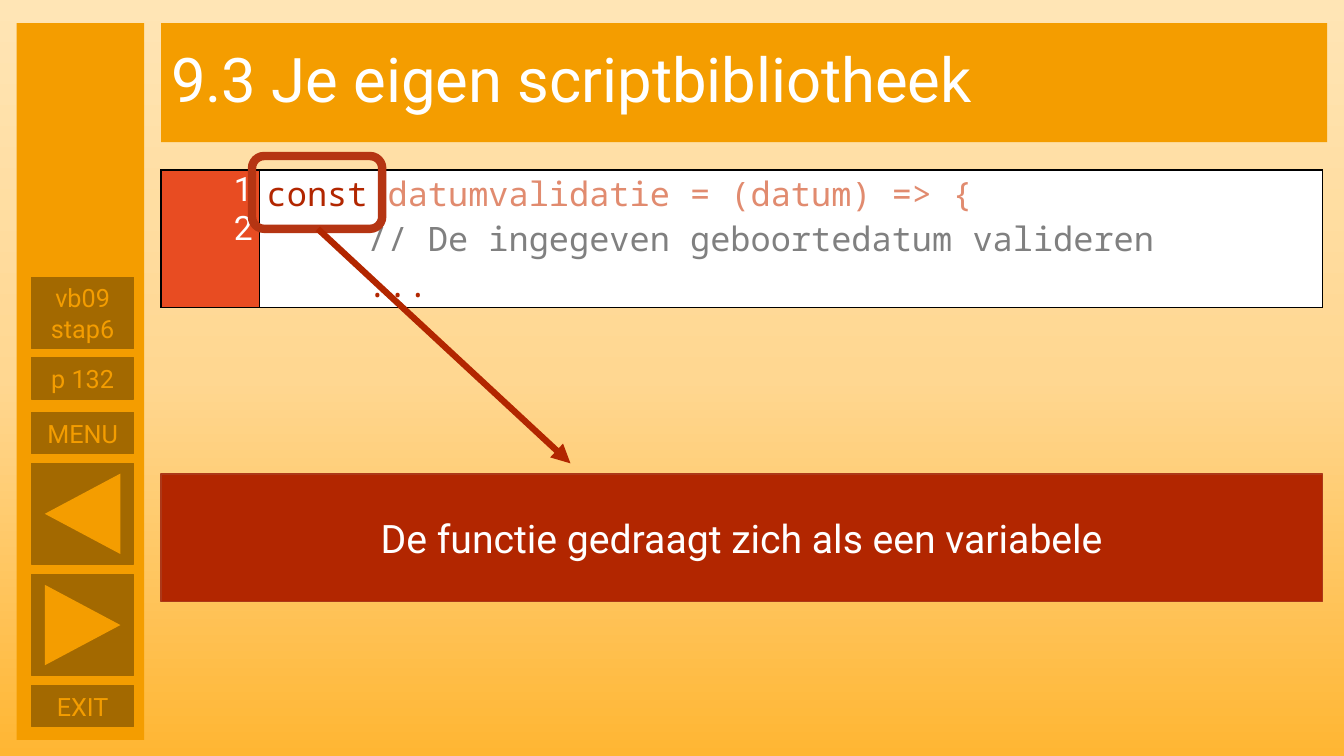
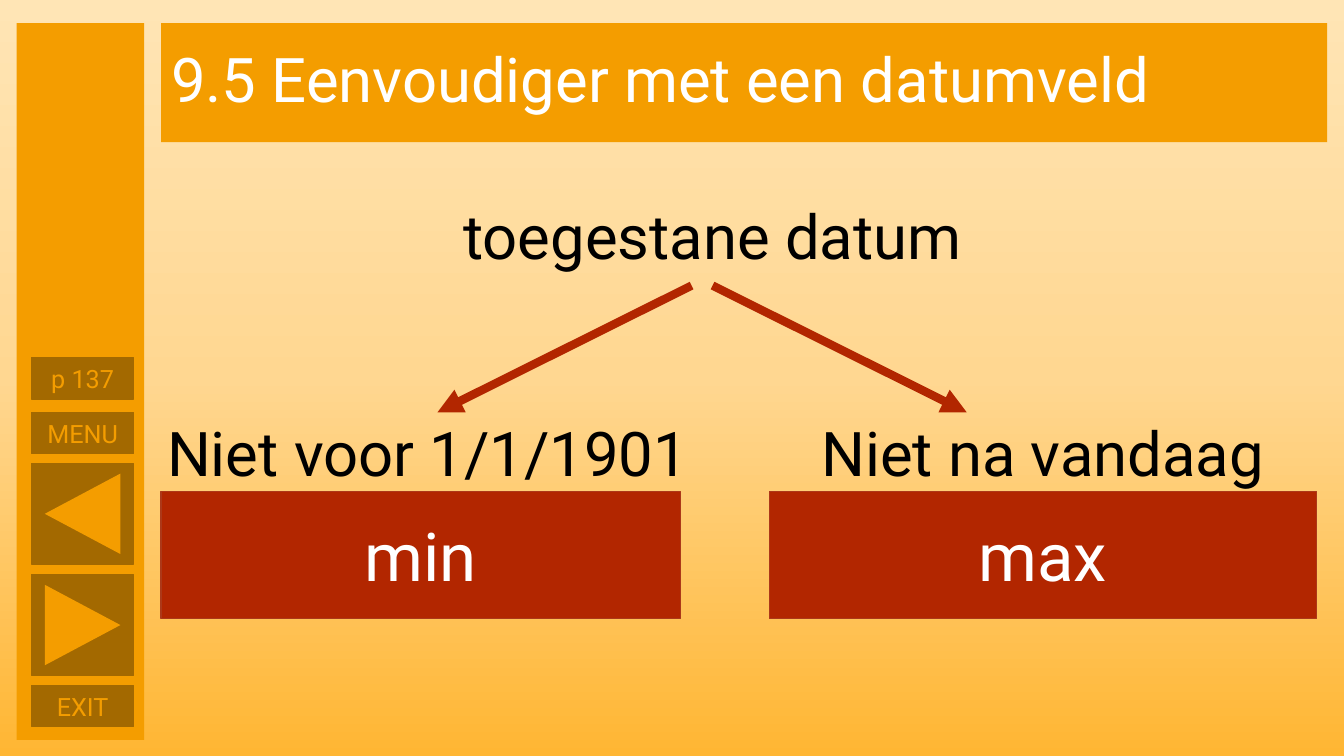
from copy import deepcopy
from lxml.etree import SubElement
from pptx import Presentation
from pptx.dml.color import RGBColor
from pptx.enum.shapes import MSO_CONNECTOR, MSO_SHAPE
from pptx.enum.text import MSO_ANCHOR, MSO_AUTO_SIZE, PP_ALIGN
from pptx.oxml.ns import qn
from pptx.util import Pt

COLORS = {
    "orange": "F49D00",
    "brown": "A36900",
    "red": "B22600",
    "red_edge": "AC3819",
    "frame": "B53513",
    "number": "E84C22",
    "faded": "E18B6F",
    "comment": "808080",
    "white": "FFFFFF",
    "black": "000000",
}
BACKGROUND = [(0, "FFE5B5"), (50, "FFD791"), (100, "FFB633")]
FONT = "Roboto"
CODE_FONT = "Noto Sans Mono"
TITLE_BOX = (115, 16.5, 833, 85)
SIDEBAR_BOX = (12, 16.5, 91, 512)
BODY_LEFT = 115


def rgb(name):
    return RGBColor.from_string(COLORS[name])


def points(values):
    return [Pt(value) for value in values]


def add_run(paragraph, text, size, color, font=FONT):
    run = paragraph.add_run()
    run.text = text
    run.font.name = font
    run.font.size = Pt(size)
    run.font.color.rgb = rgb(color)


def write_lines(frame, lines, size, color, align=PP_ALIGN.CENTER):
    for index, line in enumerate(lines):
        paragraph = frame.add_paragraph() if index else frame.paragraphs[0]
        paragraph.alignment = align
        add_run(paragraph, line, size, color)


def add_shape(slide, kind, box, fill=None, line=None, line_width=1):
    shape = slide.shapes.add_shape(kind, *points(box))
    shape.shadow.inherit = False
    if fill:
        shape.fill.solid()
        shape.fill.fore_color.rgb = rgb(fill)
    else:
        shape.fill.background()
    if line:
        shape.line.color.rgb = rgb(line)
        shape.line.width = Pt(line_width)
    else:
        shape.line.fill.background()
    return shape


def add_label(slide, box, lines, size, fill, line, color):
    shape = add_shape(slide, MSO_SHAPE.RECTANGLE, box, fill, line)
    shape.text_frame.vertical_anchor = MSO_ANCHOR.MIDDLE
    write_lines(shape.text_frame, lines, size, color)


def add_answer(slide, box, text, size):
    add_label(slide, box, [text], size, "red", "red_edge", "white")


def add_caption(slide, box, text):
    frame = slide.shapes.add_textbox(*points(box)).text_frame
    frame.word_wrap = True
    frame.auto_size = MSO_AUTO_SIZE.SHAPE_TO_FIT_TEXT
    write_lines(frame, [text], 44, "black")


def add_arrow(slide, start, end, width):
    arrow = slide.shapes.add_connector(MSO_CONNECTOR.STRAIGHT, *points(start + end))
    arrow.line.color.rgb = rgb("red")
    arrow.line.width = Pt(width)
    properties = arrow.element.spPr
    SubElement(properties.find(qn("a:ln")), qn("a:tailEnd"), type="triangle")
    SubElement(properties, qn("a:effectLst"))


def add_title(slide, box, text):
    title = slide.shapes.title
    title.left, title.top, title.width, title.height = points(box)
    title.fill.solid()
    title.fill.fore_color.rgb = rgb("orange")
    frame = title.text_frame
    frame.word_wrap = True
    frame.auto_size = MSO_AUTO_SIZE.NONE
    frame.vertical_anchor = MSO_ANCHOR.MIDDLE
    write_lines(frame, [text], 44, "white", PP_ALIGN.LEFT)
    frame.paragraphs[0].line_spacing = 0.9


def add_sidebar(slide, box, page, step=None):
    left, top, width, height = box
    add_shape(slide, MSO_SHAPE.RECTANGLE, box, "orange")
    button_left, button_width = left + 10.5, 73
    buttons = [([page], 239, 29.5), (["MENU"], 278, 29.5), (["EXIT"], 473, 29.5)]
    if step:
        buttons.append((step, 181.5, 51))
    for lines, offset, button_height in buttons:
        button = (button_left, top + offset, button_width, button_height)
        add_label(slide, button, lines, 18, "brown", "brown", "orange")
    triangle_width, triangle_height = 57.5, 54
    for offset, rotation in ((314.5, 270), (394, 90)):
        button = (button_left, top + offset, button_width, 72)
        add_shape(slide, MSO_SHAPE.RECTANGLE, button, "brown", "brown")
        triangle = (
            button_left + (button_width - triangle_width) / 2,
            top + offset + (72 - triangle_height) / 2,
            triangle_width,
            triangle_height,
        )
        arrow = add_shape(slide, MSO_SHAPE.ISOSCELES_TRIANGLE, triangle, "orange")
        arrow.rotation = rotation


def style_cell(cell, fill):
    cell.margin_left = cell.margin_right = Pt(5)
    cell.margin_top = cell.margin_bottom = 0
    properties = cell._tc.get_or_add_tcPr()
    for side in ("a:lnL", "a:lnR", "a:lnT", "a:lnB"):
        border = SubElement(properties, qn(side), w=str(Pt(1)))
        solid = SubElement(border, qn("a:solidFill"))
        SubElement(solid, qn("a:srgbClr"), val=COLORS["black"])
    cell.fill.solid()
    cell.fill.fore_color.rgb = rgb(fill)


def add_code_table(slide, box, code):
    table = slide.shapes.add_table(1, 2, *points(box)).table
    table.first_row = table.horz_banding = False
    number_width = 70.5
    table.columns[0].width = Pt(number_width)
    table.columns[1].width = Pt(box[2] - number_width)
    numbers, listing = table.cell(0, 0), table.cell(0, 1)
    style_cell(numbers, "number")
    style_cell(listing, "white")
    write_lines(numbers.text_frame, ["1", "2"], 24, "white", PP_ALIGN.RIGHT)
    listing.vertical_anchor = MSO_ANCHOR.MIDDLE
    frame = listing.text_frame
    for index, (indent, runs) in enumerate(code):
        paragraph = frame.add_paragraph() if index else frame.paragraphs[0]
        paragraph._p.get_or_add_pPr().set("marL", str(Pt(indent)))
        for text, color in runs:
            add_run(paragraph, text, 24, color, CODE_FONT)


def set_background(master):
    fill = master.background.fill
    fill.gradient()
    fill.gradient_angle = 270
    stops = master.element.find(".//" + qn("a:gsLst"))
    stops.insert(1, deepcopy(stops[0]))
    for stop, (position, color) in zip(stops, BACKGROUND):
        stop.set("pos", str(position * 1000))
        for child in list(stop):
            stop.remove(child)
        SubElement(stop, qn("a:srgbClr"), val=color)


def add_slide(presentation, title, page, step=None):
    slide = presentation.slides.add_slide(presentation.slide_layouts[5])
    add_title(slide, TITLE_BOX, title)
    add_sidebar(slide, SIDEBAR_BOX, page, step)
    return slide


def build_library_slide(presentation):
    slide = add_slide(
        presentation, "9.3 Je eigen scriptbibliotheek", "p 132", ["vb09", "stap6"]
    )
    code = [
        (0, [("const ", "red"), ("datumvalidatie = (datum) => {", "faded")]),
        (72, [("// De ingegeven geboortedatum valideren", "comment")]),
        (72, [("...", "red")]),
    ]
    add_code_table(slide, (BODY_LEFT, 121.5, 829.5, 88), code)
    keyword = (180, 111.5, 93, 52)
    add_shape(slide, MSO_SHAPE.ROUNDED_RECTANGLE, keyword, line="frame", line_width=6)
    add_arrow(slide, (227, 163.5), (407.5, 331), 4.5)
    answer = (BODY_LEFT, 338.5, 829.5, 91)
    add_answer(slide, answer, "De functie gedraagt zich als een variabele", 28)


def build_date_slide(presentation):
    slide = add_slide(presentation, "9.5 Eenvoudiger met een datumveld", "p 137")
    add_caption(slide, (BODY_LEFT, 138, 788, 60.5), "toegestane datum")
    limits = [
        ("Niet voor 1/1/1901", 85.5, 440.5, "min", BODY_LEFT, 371, -1),
        ("Niet na vandaag", 541.5, 407, "max", 549.5, 391, 1),
    ]
    center = 501.5
    for text, text_left, text_width, name, left, width, side in limits:
        add_arrow(slide, (center + side * 7.5, 204), (center + side * 189, 294.5), 6)
        add_caption(slide, (text_left, 292.5, text_width, 60.5), text)
        add_answer(slide, (left, 351, width, 91), name, 48)


def main():
    presentation = Presentation()
    presentation.slide_width, presentation.slide_height = Pt(960), Pt(540)
    set_background(presentation.slide_master)
    build_library_slide(presentation)
    build_date_slide(presentation)
    presentation.save("out.pptx")


if __name__ == "__main__":
    main()
